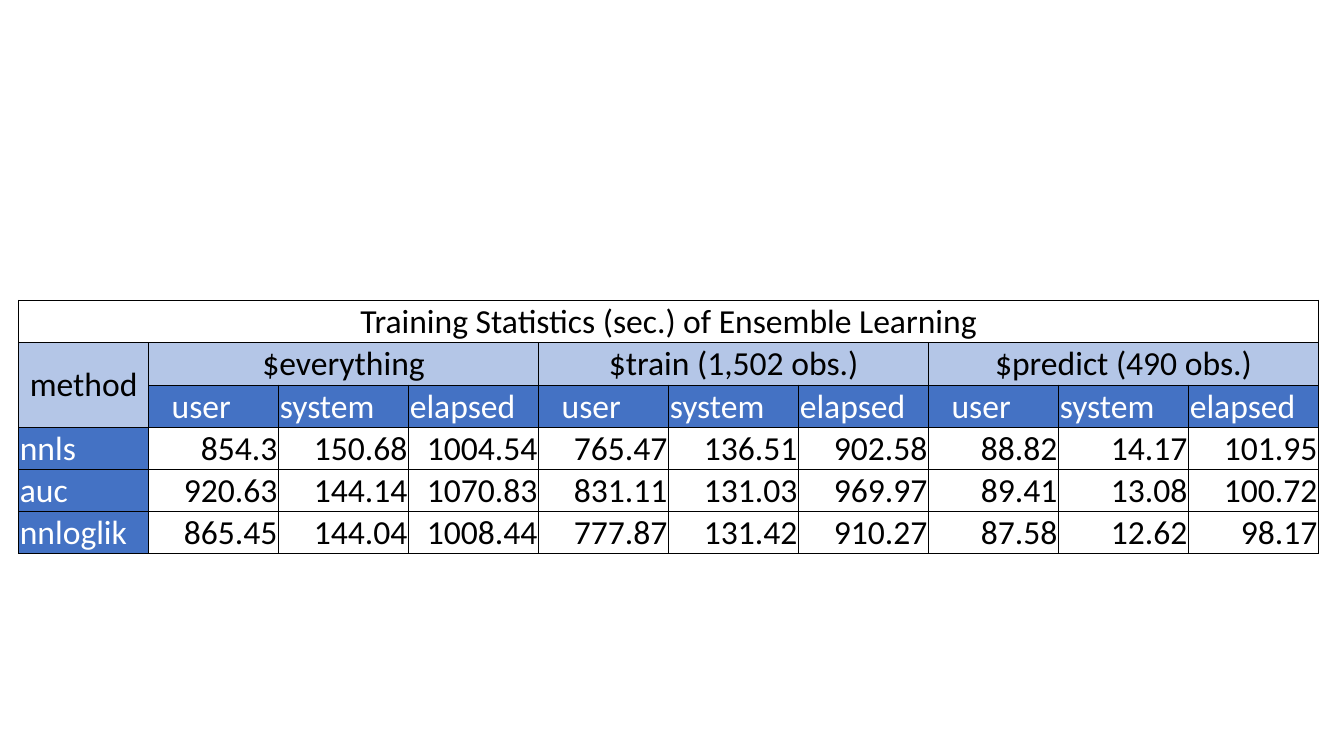
from dataclasses import dataclass
from typing import Optional

from lxml.etree import SubElement
from pptx import Presentation
from pptx.dml.color import RGBColor
from pptx.enum.text import MSO_ANCHOR as Anchor, PP_ALIGN as Align
from pptx.oxml.ns import qn
from pptx.table import Table, _Cell as Cell
from pptx.util import Cm, Pt

BLACK = RGBColor(0x00, 0x00, 0x00)
WHITE = RGBColor(0xFF, 0xFF, 0xFF)
BLUE = RGBColor(0x44, 0x72, 0xC4)
LIGHT_BLUE = RGBColor(0xB4, 0xC6, 0xE7)

ROWS, COLUMNS = 6, 10
TABLE_WIDTH, TABLE_HEIGHT = Cm(32.76), Cm(6.18)
MARGIN, USER_INDENT = Cm(0.03), Cm(0.58)
INNER_LINE, OUTER_LINE = Pt(0.5), Pt(1)

TITLE = "Training Statistics (sec.) of Ensemble Learning"
GROUPS = ["$everything", "$train (1,502 obs.)", "$predict (490 obs.)"]
TIMINGS = ["user", "system", "elapsed"]
RESULTS = {
    "nnls": ["854.3", "150.68", "1004.54", "765.47", "136.51", "902.58",
             "88.82", "14.17", "101.95"],
    "auc": ["920.63", "144.14", "1070.83", "831.11", "131.03", "969.97",
            "89.41", "13.08", "100.72"],
    "nnloglik": ["865.45", "144.04", "1008.44", "777.87", "131.42", "910.27",
                 "87.58", "12.62", "98.17"],
}


@dataclass
class Block:
    """A table cell, possibly spanning several rows or columns."""
    text: str
    row: int
    column: int
    row_span: int = 1
    column_span: int = 1
    align: Align = Align.LEFT
    anchor: Anchor = Anchor.BOTTOM
    color: RGBColor = BLACK
    fill: Optional[RGBColor] = None
    margin_left: int = MARGIN

    @property
    def last_row(self) -> int:
        return self.row + self.row_span - 1

    @property
    def last_column(self) -> int:
        return self.column + self.column_span - 1


def table_blocks() -> list[Block]:
    # Title and header rows
    blocks = [
        Block(TITLE, 0, 0, column_span=COLUMNS, align=Align.CENTER),
        Block("method", 1, 0, row_span=2, align=Align.CENTER,
              anchor=Anchor.MIDDLE, fill=LIGHT_BLUE),
    ]
    for index, group in enumerate(GROUPS):
        first = 1 + index * len(TIMINGS)
        blocks.append(Block(group, 1, first, column_span=len(TIMINGS),
                            align=Align.CENTER, fill=LIGHT_BLUE))
        for column, timing in enumerate(TIMINGS, start=first):
            margin = USER_INDENT if timing == "user" else MARGIN
            blocks.append(Block(timing, 2, column, color=WHITE, fill=BLUE,
                                margin_left=margin))

    # Result rows
    for row, (method, values) in enumerate(RESULTS.items(), start=3):
        blocks.append(Block(method, row, 0, color=WHITE, fill=BLUE))
        blocks += [Block(value, row, column, align=Align.RIGHT)
                   for column, value in enumerate(values, start=1)]
    return blocks


def add_border(cell: Cell, side: str, width: int) -> None:
    properties = cell._tc.get_or_add_tcPr()
    line = SubElement(properties, qn(f"a:ln{side}"), w=str(width))
    solid = SubElement(line, qn("a:solidFill"))
    SubElement(solid, qn("a:srgbClr"), val=str(BLACK))


def draw_borders(table: Table, block: Block) -> None:
    """Give every cell of a block its lines, heavier at the table's edge."""
    on_table_edge = {
        "L": block.column == 0,
        "R": block.last_column == COLUMNS - 1,
        "T": block.row == 0,
        "B": block.last_row == ROWS - 1,
    }
    for row in range(block.row, block.last_row + 1):
        for column in range(block.column, block.last_column + 1):
            for side, is_outer in on_table_edge.items():
                add_border(table.cell(row, column), side,
                           OUTER_LINE if is_outer else INNER_LINE)


def draw_block(table: Table, block: Block) -> None:
    draw_borders(table, block)
    cell = table.cell(block.row, block.column)
    if block.row_span * block.column_span > 1:
        cell.merge(table.cell(block.last_row, block.last_column))
    if block.fill is None:
        cell.fill.background()
    else:
        cell.fill.solid()
        cell.fill.fore_color.rgb = block.fill
    cell.margin_left = block.margin_left
    cell.margin_right = cell.margin_top = MARGIN
    cell.margin_bottom = 0
    cell.vertical_anchor = block.anchor

    cell.text_frame.text = block.text
    paragraph = cell.text_frame.paragraphs[0]
    paragraph.alignment = block.align
    font = paragraph.runs[0].font
    font.name = "Calibri"
    font.size = Pt(24)
    font.color.rgb = block.color


def main() -> None:
    presentation = Presentation()
    presentation.slide_width = Cm(33.87)
    presentation.slide_height = Cm(19.05)
    slide = presentation.slides.add_slide(presentation.slide_layouts[6])

    # Statistics table
    table = slide.shapes.add_table(ROWS, COLUMNS, Cm(0.47), Cm(7.57),
                                   TABLE_WIDTH, TABLE_HEIGHT).table
    table.first_row = False
    table.horz_banding = False
    for block in table_blocks():
        draw_block(table, block)

    presentation.save("out.pptx")


if __name__ == "__main__":
    main()
